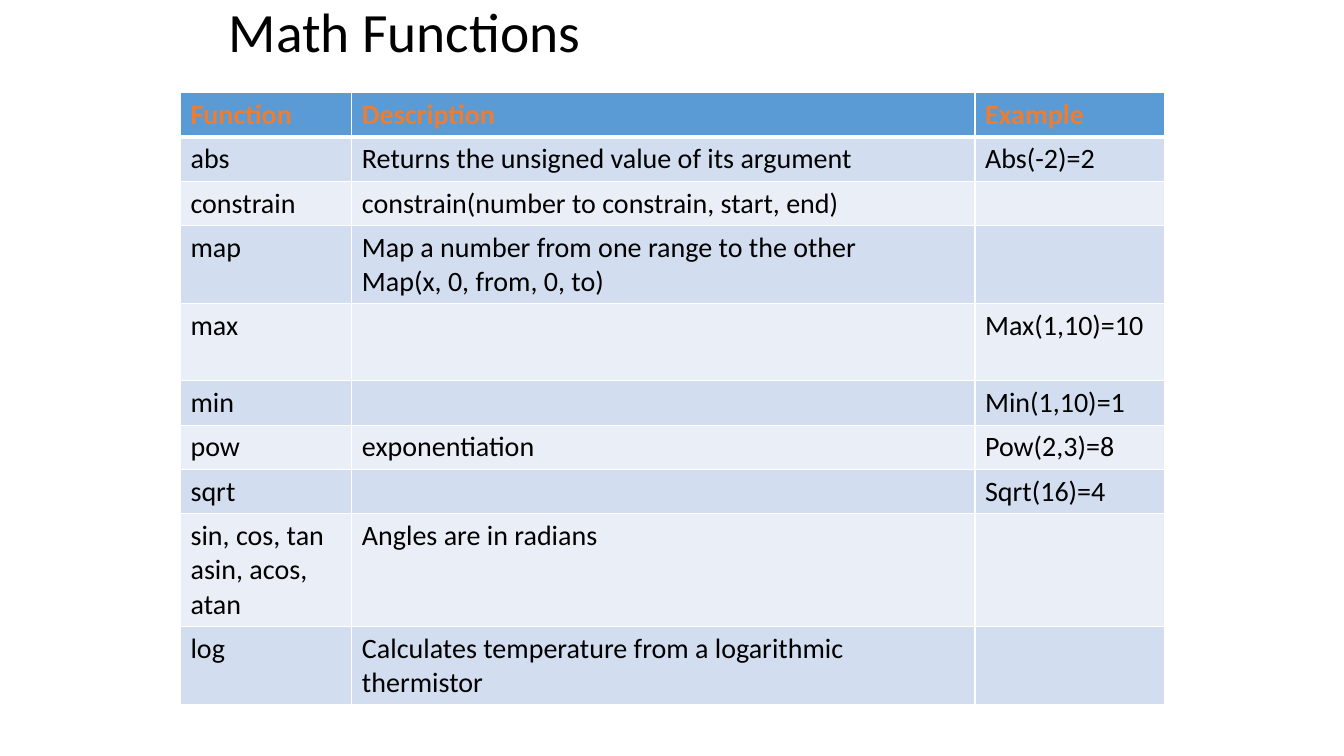
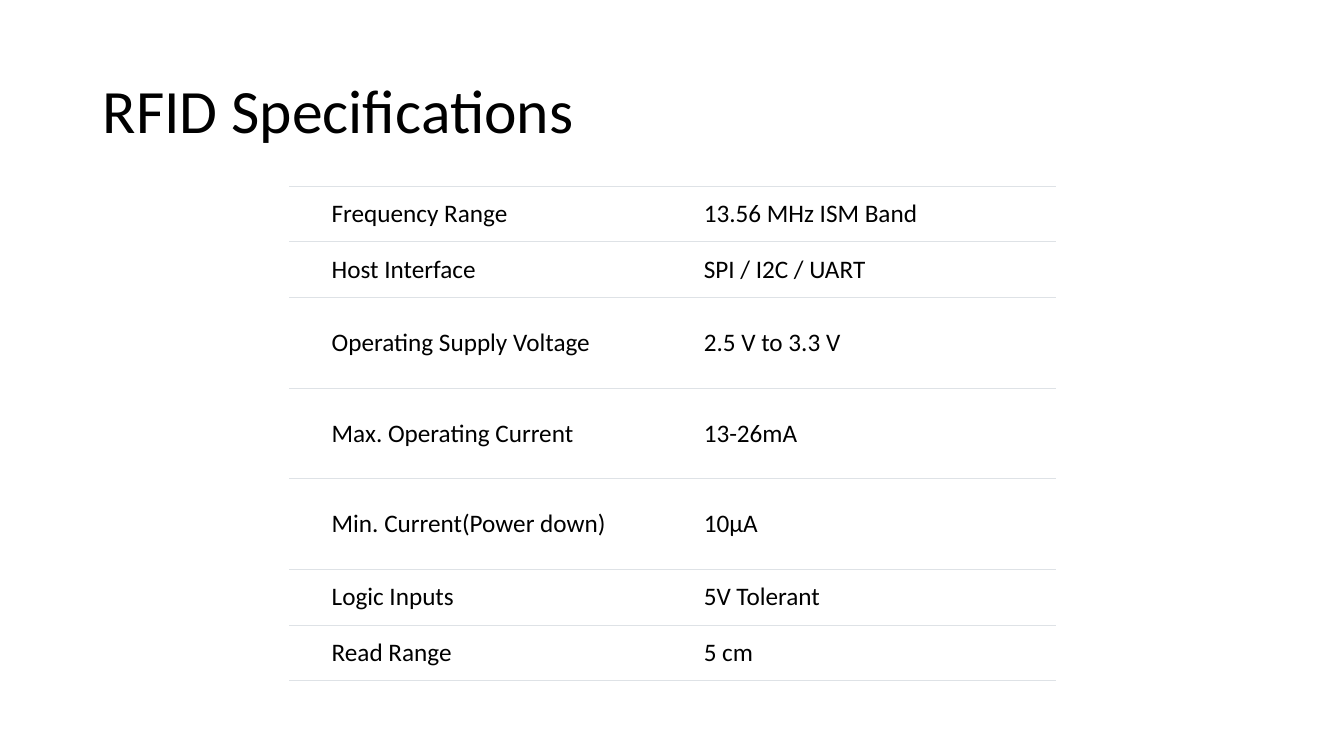
"""Build two slides: a table of math functions and a table of RFID specifications."""
from lxml.etree import SubElement
from pptx import Presentation
from pptx.dml.color import RGBColor
from pptx.enum.text import MSO_ANCHOR
from pptx.oxml.ns import qn
from pptx.util import Inches, Pt

FONT = "Calibri"
BLACK = RGBColor(0x00, 0x00, 0x00)
WHITE = RGBColor(0xFF, 0xFF, 0xFF)
BLUE = RGBColor(0x5B, 0x9B, 0xD5)
ORANGE = RGBColor(0xED, 0x7D, 0x31)
BANDS = [RGBColor(0xEA, 0xEF, 0xF7), RGBColor(0xD2, 0xDE, 0xEF)]
GREY = RGBColor(0xDE, 0xE2, 0xE6)

MATH = [
    ("Function", "Description", "Example"),
    ("abs", "Returns the unsigned value of its argument", "Abs(-2)=2"),
    ("constrain", "constrain(number to constrain, start, end)", ""),
    ("map", "Map a number from one range to the other\nMap(x, 0, from, 0, to)", ""),
    ("max", "", "Max(1,10)=10"),
    ("min", "", "Min(1,10)=1"),
    ("pow", "exponentiation", "Pow(2,3)=8"),
    ("sqrt", "", "Sqrt(16)=4"),
    ("sin, cos, tan\nasin, acos, atan", "Angles are in radians", ""),
    ("log", "Calculates temperature from a logarithmic thermistor", ""),
]
SPECS = [
    ("Frequency Range", "13.56 MHz ISM Band"),
    ("Host Interface", "SPI / I2C / UART"),
    ("Operating Supply Voltage", "2.5 V to 3.3 V"),
    ("Max. Operating Current", "13-26mA"),
    ("Min. Current(Power down)", "10µA"),
    ("Logic Inputs", "5V Tolerant"),
    ("Read Range", "5 cm"),
]
LOW, MID, HIGH = 0.44, 0.77, 1.12
SLIM, TALL = 0.55, 0.9

deck = Presentation()
deck.slide_width, deck.slide_height = Inches(13.33), Inches(7.5)

pages = [
    dict(title="Math Functions", box=(2.17, 0.03, 9, 0.62), big=39.6,
         rows=MATH, left=1.79, top=0.92, cols=[1.7, 6.18, 1.88],
         tall=[LOW, LOW, LOW, MID, MID, LOW, LOW, LOW, HIGH, MID],
         size=20, head=True, pads=[0.1, 0.1, 0.1], side=0.1, edge=0.05,
         anchor=MSO_ANCHOR.TOP, line=WHITE, width=1),
    dict(title="RFID Specifications", box=(0.92, 0.4, 11.5, 1.45), big=44,
         rows=SPECS, left=2.87, top=1.85, cols=[3.8, 3.8],
         tall=[SLIM, SLIM, TALL, TALL, TALL, SLIM, SLIM],
         size=18, head=False, pads=[0.42, 0.31], side=0.08, edge=0.08,
         anchor=MSO_ANCHOR.MIDDLE, line=GREY, width=0.75),
]

for page in pages:
    slide = deck.slides.add_slide(deck.slide_layouts[6])
    frame = slide.shapes.add_textbox(*map(Inches, page["box"])).text_frame
    frame.word_wrap = True
    frame.vertical_anchor = MSO_ANCHOR.MIDDLE
    para = frame.paragraphs[0]
    para.text = page["title"]
    para.line_spacing = 0.9
    para.font.name, para.font.size = FONT, Pt(page["big"])
    para.font.color.rgb = BLACK

    rows, cols, tall = page["rows"], page["cols"], page["tall"]
    table = slide.shapes.add_table(
        len(rows), len(cols), Inches(page["left"]), Inches(page["top"]),
        Inches(sum(cols)), Inches(sum(tall))).table
    table.first_row = page["head"]
    table.horz_banding = False
    for col, wide in zip(table.columns, cols):
        col.width = Inches(wide)

    for i, texts in enumerate(rows):
        table.rows[i].height = Inches(tall[i])
        head = page["head"] and i == 0
        for j, text in enumerate(texts):
            cell = table.cell(i, j)
            cell.vertical_anchor = page["anchor"]
            cell.margin_left, cell.margin_right = Inches(page["pads"][j]), Inches(page["side"])
            cell.margin_top = cell.margin_bottom = Inches(page["edge"])

            props = cell._tc.get_or_add_tcPr()
            for tag in ("a:lnL", "a:lnR", "a:lnT", "a:lnB"):
                thick = page["head"] and (i, tag) in [(0, "a:lnB"), (1, "a:lnT")]
                line = SubElement(props, qn(tag), w=str(Pt(3 if thick else page["width"])))
                if tag in ("a:lnL", "a:lnR") and not page["head"]:
                    SubElement(line, qn("a:noFill"))
                else:
                    fill = SubElement(line, qn("a:solidFill"))
                    SubElement(fill, qn("a:srgbClr"), val=str(page["line"]))

            cell.fill.solid()
            cell.fill.fore_color.rgb = BLUE if head else BANDS[i % 2] if page["head"] else WHITE
            cell.text = text
            for para in cell.text_frame.paragraphs:
                para.font.name, para.font.size = FONT, Pt(page["size"])
                para.font.bold = head
                para.font.color.rgb = ORANGE if head else BLACK

deck.save("out.pptx")
